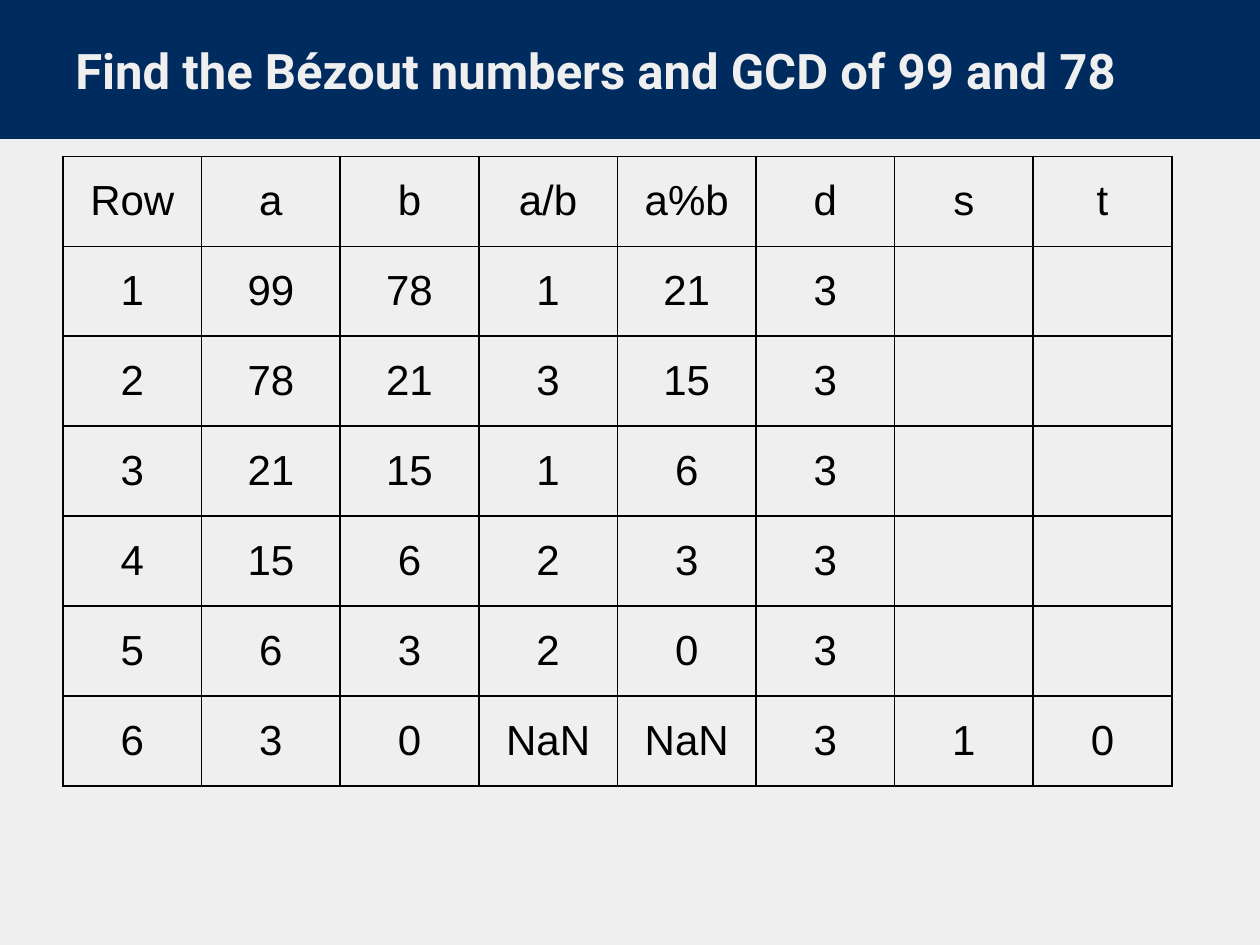
from dataclasses import dataclass
from lxml.etree import SubElement
from pptx import Presentation
from pptx.dml.color import RGBColor
from pptx.enum.shapes import MSO_SHAPE
from pptx.enum.text import MSO_ANCHOR, PP_ALIGN
from pptx.oxml import parse_xml
from pptx.oxml.ns import nsdecls, qn
from pptx.util import Inches, Pt


@dataclass(frozen=True)
class Theme:
    paper: str = "EFEFEF"
    navy: str = "002B5E"
    ink: str = "000000"
    head: str = "Roboto"
    body: str = "Arial"
    big: int = 28
    mid: int = 24
    rule: float = 1
    edge: float = 1.5


class Deck:
    # Grid of 10 columns by 7.5 rows, one inch each
    cols, rows = 10, 7.5

    def __init__(self, theme):
        self.theme = theme
        self.file = Presentation()
        self.file.slide_width = Inches(self.cols)
        self.file.slide_height = Inches(self.rows)
        self.slide = self.file.slides.add_slide(self.file.slide_layouts[6])
        self.paint(self.slide.background.fill, theme.paper)

    def paint(self, fill, color):
        fill.solid()
        fill.fore_color.rgb = RGBColor.from_string(color)

    def box(self, *cells):
        return [Inches(c) for c in cells]

    def run(self, para, text, font, size, color, bold=False):
        run = para.add_run()
        run.text = text
        run.font.name, run.font.size, run.font.bold = font, Pt(size), bold
        run.font.color.rgb = RGBColor.from_string(color)

    def band(self, *area):
        shape = self.slide.shapes.add_shape(MSO_SHAPE.RECTANGLE, *self.box(*area))
        shape.shadow.inherit = False
        self.paint(shape.fill, self.theme.navy)
        self.paint(shape.line.fill, self.theme.navy)
        shape.line.width = Pt(self.theme.edge)

    def title(self, text, *area):
        frame = self.slide.shapes.add_textbox(*self.box(*area)).text_frame
        frame.word_wrap = True
        frame.vertical_anchor = MSO_ANCHOR.BOTTOM
        frame.margin_top = frame.margin_bottom = Inches(0.1)
        look = self.theme
        self.run(frame.paragraphs[0], text, look.head, look.big, look.paper, True)

    def table(self, data, *area):
        frame = self.slide.shapes.add_table(len(data), len(data[0]), *self.box(*area))
        grid = frame.table
        grid.first_row = grid.horz_banding = False
        for r, line in enumerate(data):
            for c, text in enumerate(line):
                self.cell(grid.cell(r, c), text)

    def cell(self, cell, text):
        look = self.theme
        cell.vertical_anchor = MSO_ANCHOR.MIDDLE
        cell.fill.background()
        para = cell.text_frame.paragraphs[0]
        para.alignment = PP_ALIGN.CENTER
        if text:
            self.run(para, text, look.body, look.mid, look.ink)
        # Borders come before the fill
        props = cell._tc.get_or_add_tcPr()
        for spot, side in enumerate("LRTB"):
            line = parse_xml(f'<a:ln{side} {nsdecls("a")} w="{Pt(look.rule)}"/>')
            fill = SubElement(line, qn("a:solidFill"))
            SubElement(fill, qn("a:srgbClr"), val=look.ink)
            props.insert(spot, line)


deck = Deck(Theme())

# Header
deck.band(0, 0, deck.cols, 1.09)
deck.title("Find the Bézout numbers and GCD of 99 and 78", 0.5, 0.22, 9, 0.67)

# Steps of the algorithm
steps = [
    ["Row", "a", "b", "a/b", "a%b", "d", "s", "t"],
    ["1", "99", "78", "1", "21", "3", "", ""],
    ["2", "78", "21", "3", "15", "3", "", ""],
    ["3", "21", "15", "1", "6", "3", "", ""],
    ["4", "15", "6", "2", "3", "3", "", ""],
    ["5", "6", "3", "2", "0", "3", "", ""],
    ["6", "3", "0", "NaN", "NaN", "3", "1", "0"],
]
deck.table(steps, 0.5, 1.24, 8.8, 5)

deck.file.save("out.pptx")
